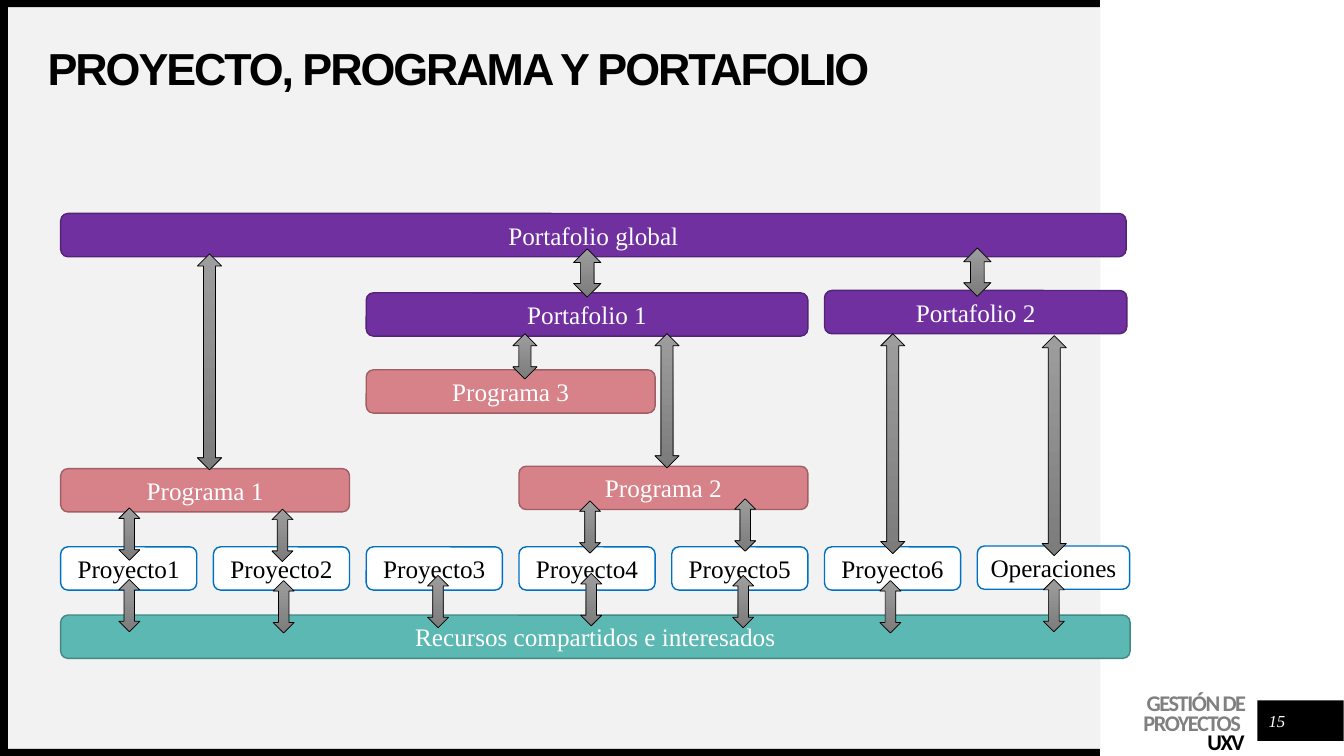
from pptx import Presentation
from pptx.dml.color import RGBColor
from pptx.enum.shapes import MSO_SHAPE as SHAPE
from pptx.enum.text import MSO_ANCHOR as ANCHOR, MSO_AUTO_SIZE as AUTO, PP_ALIGN as ALIGN
from pptx.util import Cm, Pt

SERIF = "Times New Roman"
BLACK, WHITE = "000000", "FFFFFF"
PURPLE = ("7030A0", "532476")
ROSE = ("D78189", "9F5F65")
TEAL = ("5CB8B3", "448884")
OUTLINED = (WHITE, "0070C0")

LEFT, STEP, PROJECT_W, BAR_H = 1.53, 3.85, 3.43, 1.09
PAIR_W = STEP + PROJECT_W
TRIO_W = 2 * STEP + PROJECT_W

PROJECTS = [f"Proyecto{n}" for n in range(1, 7)]
BARS = [
    ("Programa 1", 0, 11.81, PAIR_W, ROSE),
    ("Programa 2", 3, 11.75, PAIR_W, ROSE),
    ("Recursos compartidos e interesados", 0, 15.5, 26.95, TEAL),
    ("Programa 3", 2, 9.32, PAIR_W, ROSE),
    ("Portafolio 1", 2, 7.38, TRIO_W, PURPLE),
    ("Portafolio 2", 5, 7.32, 7.62, PURPLE),
    ("Portafolio global", 0, 5.38, 26.85, PURPLE),
]
RESOURCE_ARROWS = [(3.26, 14.6), (7.15, 14.63), (11.04, 14.5), (14.9, 14.45),
                   (18.73, 14.5), (22.44, 14.63), (26.56, 14.6)]
PROGRAM_ARROWS = [(3.26, 12.8), (7.12, 12.83), (18.78, 12.57), (14.87, 12.62)]
LONG_ARROWS = [(22.5, 8.41, 5.54), (26.57, 8.46, 5.54), (16.81, 8.41, 3.38),
               (13.23, 8.41, 1.14), (5.28, 6.4, 5.44)]
GLOBAL_ARROWS = [(14.8, 6.27), (24.63, 6.25)]


def rgb(color):
    return RGBColor.from_string(color)


def write(p, text, size=18, font=SERIF, color=BLACK, bold=False, italic=False,
          align=ALIGN.CENTER, line=None, tracking=None):
    p.alignment = align
    if line:
        p.line_spacing = line
    r = p.add_run()
    r.text = text
    f = r.font
    f.size, f.name, f.bold, f.italic = Pt(size), font, bold, italic
    f.color.rgb = rgb(color)
    if tracking:
        r._r.get_or_add_rPr().set("spc", str(tracking))


def set_frame(tf, anchor, top=0):
    tf.word_wrap = True
    tf.auto_size = AUTO.NONE
    tf.vertical_anchor = anchor
    tf.margin_left = tf.margin_right = tf.margin_bottom = 0
    tf.margin_top = Cm(top)


def add_box(s, kind, x, y, w, h, fill, line=None):
    sp = s.shapes.add_shape(kind, Cm(x), Cm(y), Cm(w), Cm(h))
    sp.shadow.inherit = False
    sp.fill.solid()
    sp.fill.fore_color.rgb = rgb(fill)
    if line:
        sp.line.color.rgb = rgb(line)
        sp.line.width = Pt(1)
    else:
        sp.line.fill.background()
    return sp


def add_bar(s, text, column, top, width, colors):
    fill, line = colors
    sp = add_box(s, SHAPE.ROUNDED_RECTANGLE, LEFT + column * STEP, top, width, BAR_H, fill, line)
    tf = sp.text_frame
    tf.vertical_anchor = ANCHOR.MIDDLE
    write(tf.paragraphs[0], text, color=BLACK if fill == WHITE else WHITE)


def add_arrow(s, center, top, height=1.32, width=0.53):
    sp = s.shapes.add_shape(SHAPE.UP_DOWN_ARROW, Cm(center - width / 2), Cm(top),
                            Cm(width), Cm(height))
    sp.shadow.inherit = False
    sp.fill.gradient()
    sp.fill.gradient_angle = 270
    for stop, color in zip(sp.fill.gradient_stops, ("9D9D9D", "7C7C7C")):
        stop.color.rgb = rgb(color)
    sp.line.color.rgb = rgb(BLACK)
    sp.line.width = Pt(0.5)


def add_label(s, x, y, w, h, anchor, top=0):
    tf = s.shapes.add_textbox(Cm(x), Cm(y), Cm(w), Cm(h)).text_frame
    set_frame(tf, anchor, top)
    return tf


def add_background(s):
    for x, y, w, h, color in [(0.2, 0.18, 27.53, 18.69, "F2F2F2"),
                              (31.69, 17.65, 2.17, 1.02, BLACK),
                              (0, 18.87, 27.72, 0.18, BLACK),
                              (0, 0, 27.72, 0.18, BLACK),
                              (0, 0, 0.2, 19.05, BLACK)]:
        add_box(s, SHAPE.RECTANGLE, x, y, w, h, color)


def add_footer(s):
    tf = add_label(s, 26.75, 17.45, 4.62, 1.6, ANCHOR.TOP, 0.1)
    style = dict(size=16, font="Calibri", bold=True, align=ALIGN.RIGHT,
                 line=Pt(14), tracking=-100)
    write(tf.paragraphs[0], "GESTIÓN DE PROYECTOS ", color="808080", **style)
    write(tf.add_paragraph(), "UXV", **style)
    tf = add_label(s, 31.8, 17.78, 0.76, 0.76, ANCHOR.MIDDLE)
    write(tf.paragraphs[0], "15", size=12, color=WHITE, italic=True)


def set_title(s, text):
    title = s.shapes.title
    s.shapes._spTree.append(title._element)
    title.left, title.top, title.width, title.height = Cm(1.2), Cm(1.2), Cm(25.55), Cm(1.2)
    set_frame(title.text_frame, ANCHOR.MIDDLE)
    write(title.text_frame.paragraphs[0], text, size=32, font="Arial", bold=True,
          align=ALIGN.LEFT, line=0.9, tracking=-150)


def main():
    prs = Presentation()
    prs.slide_width, prs.slide_height = Cm(33.87), Cm(19.05)
    s = prs.slides.add_slide(prs.slide_layouts[5])
    add_background(s)
    add_footer(s)
    set_title(s, "PROYECTO, PROGRAMA Y PORTAFOLIO")
    for column, name in enumerate(PROJECTS):
        add_bar(s, name, column, 13.78, PROJECT_W, OUTLINED)
    add_bar(s, "Operaciones", len(PROJECTS), 13.76, 3.84, OUTLINED)
    for bar in BARS:
        add_bar(s, *bar)
    for center, top in RESOURCE_ARROWS + PROGRAM_ARROWS:
        add_arrow(s, center, top)
    for center, top, height in LONG_ARROWS:
        add_arrow(s, center, top, height, 0.61)
    for center, top in GLOBAL_ARROWS:
        add_arrow(s, center, top, 1.22, 0.69)
    prs.save("out.pptx")


if __name__ == "__main__":
    main()
